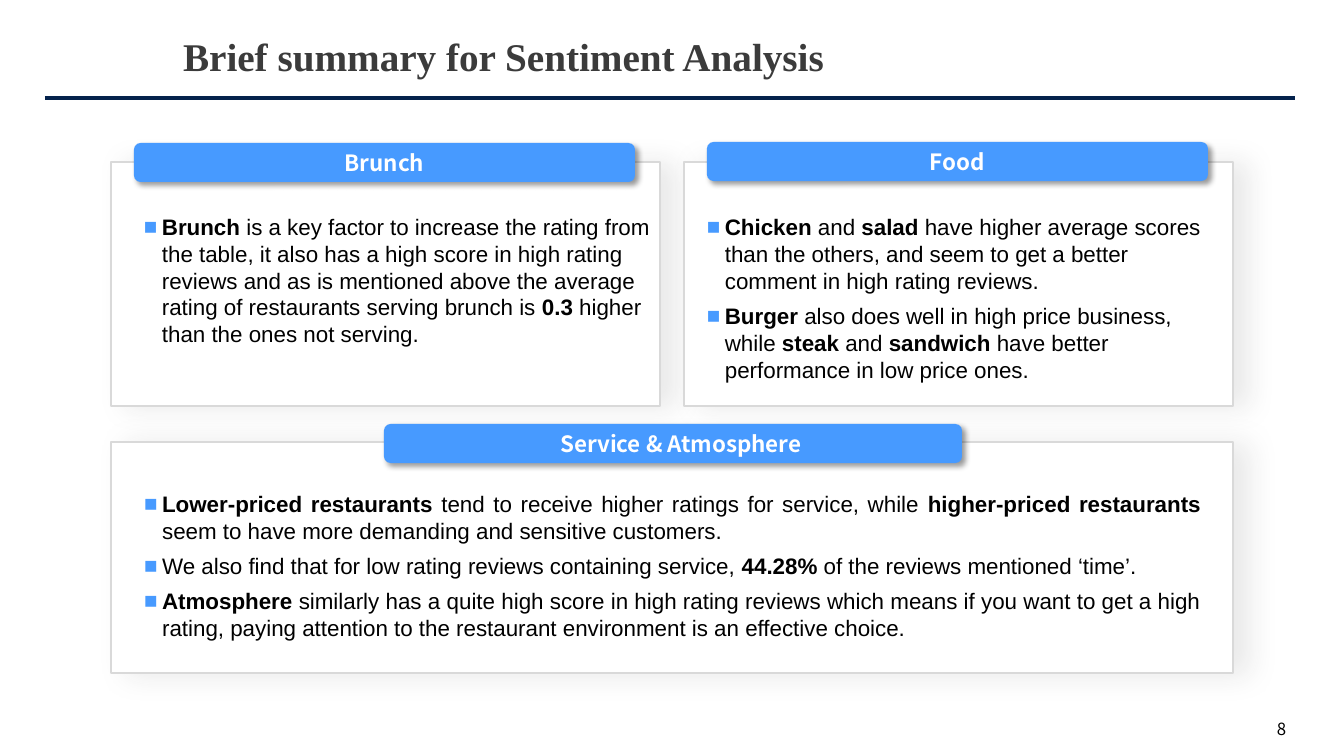
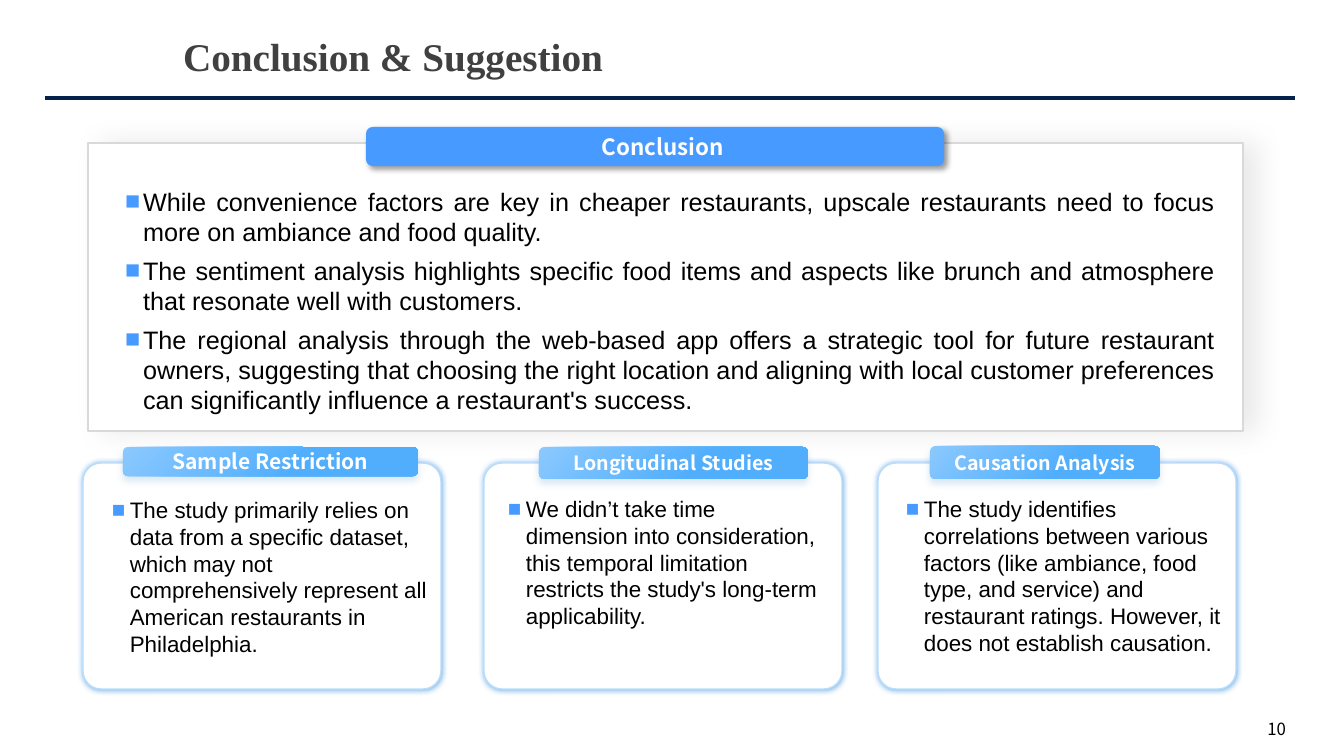
import pptx
import pptx.util
import pptx.dml.color
import pptx.enum.shapes
import pptx.enum.text
import pptx.oxml
import pptx.oxml.ns
from lxml import etree

RGB = pptx.dml.color.RGBColor
SHAPE = pptx.enum.shapes.MSO_SHAPE
ALIGN = pptx.enum.text.PP_ALIGN
ANCHOR = pptx.enum.text.MSO_ANCHOR
Pt = pptx.util.Pt
qn = pptx.oxml.ns.qn

# Colours and fonts
NAVY = RGB(0x04, 0x22, 0x4C)
BLUE = RGB(0x47, 0x9A, 0xFF)
PALE_BLUE = RGB(0x8B, 0xC9, 0xFE)
SKY = RGB(0x51, 0xAE, 0xFD)
CARD_EDGE = RGB(0xBB, 0xDC, 0xFA)
PANEL_EDGE = RGB(0xD9, 0xD9, 0xD9)
CHARCOAL = RGB(0x3B, 0x3B, 0x3B)
GREY = RGB(0x40, 0x40, 0x40)
WHITE = RGB(0xFF, 0xFF, 0xFF)
BLACK = RGB(0x00, 0x00, 0x00)
TITLE_FONT, LABEL_FONT, LIST_FONT = "Times New Roman", "Noto Sans CJK SC", "Arial"

# Shadows: colour, opacity %, blur pt, distance pt, angle
PANEL_SHADOW = ("262626", 10, 20, 10, 0)
TAB_SHADOW = ("000000", 40, 4, 3, 45)
CARD_SHADOW = ("0275D8", 50, 4, 0, 90)
CARD_TAB_SHADOW = ("458AC6", 20, 5, 3, 90)

PIXELS_PER_INCH = 100.8
INDENT = 18
TAB_HEIGHT = 39


def px(pixels):
    return pptx.util.Emu(round(pixels * 914400 / PIXELS_PER_INCH))


def box(left, top, width, height):
    return px(left), px(top), px(width), px(height)


def move(shape, left, top, width, height):
    shape.left, shape.top, shape.width, shape.height = box(left, top, width, height)


def set_font(paragraph, name, size, color, bold=False):
    font = paragraph.font
    font.name, font.size, font.bold = name, Pt(size), bold
    font.color.rgb = color


def add_shadow(shape, color, opacity, blur, distance, angle):
    shape.shadow.inherit = False
    effects = shape.element.spPr.find(qn("a:effectLst"))
    outer = etree.SubElement(
        effects, qn("a:outerShdw"), blurRad=str(Pt(blur)), dist=str(Pt(distance)),
        dir=str(angle * 60000), algn="ctr", rotWithShape="0")
    tint = etree.SubElement(outer, qn("a:srgbClr"), val=color)
    etree.SubElement(tint, qn("a:alpha"), val=str(opacity * 1000))


def add_box(slide, kind, bounds, shadow, edge=None):
    shape = slide.shapes.add_shape(kind, *box(*bounds))
    shape.fill.solid()
    shape.fill.fore_color.rgb = WHITE
    if edge is None:
        shape.line.fill.background()
    else:
        shape.line.color.rgb = edge
        shape.line.width = Pt(1)
    add_shadow(shape, *shadow)
    return shape


def add_panel(slide, *bounds):
    add_box(slide, SHAPE.RECTANGLE, bounds, PANEL_SHADOW, PANEL_EDGE)


def write_label(shape, text, size, shift=0):
    """Centre a white label, moved right by shift pixels."""
    frame = shape.text_frame
    frame.vertical_anchor = ANCHOR.MIDDLE
    frame.margin_left, frame.margin_right = px(10 + 2 * shift), px(10)
    frame.margin_top = frame.margin_bottom = 0
    label = frame.paragraphs[0]
    label.text = text
    label.alignment = ALIGN.CENTER
    set_font(label, LABEL_FONT, size, WHITE, True)


def add_tab(slide, text, left, top, width, shift=0):
    tab = add_box(slide, SHAPE.ROUNDED_RECTANGLE, (left, top, width, TAB_HEIGHT), TAB_SHADOW)
    tab.fill.fore_color.rgb = BLUE
    write_label(tab, text, 16, shift)


def add_card(slide, left, heading, heading_size, heading_bounds):
    card = add_box(slide, SHAPE.ROUNDED_RECTANGLE, (left, 463, 358, 226), CARD_SHADOW, CARD_EDGE)
    card.adjustments[0] = 0.08
    tab = add_box(slide, SHAPE.ROUNDED_RECTANGLE, heading_bounds, CARD_TAB_SHADOW)
    tab.fill.gradient()
    tab.fill.gradient_angle = 315
    for stop, color, position in zip(tab.fill.gradient_stops, (PALE_BLUE, SKY), (0, 0.6)):
        stop.color.rgb = color
        stop.position = position
    write_label(tab, heading, heading_size)


def add_bullet(paragraph):
    properties = paragraph._p.get_or_add_pPr()
    properties.set("marL", str(px(INDENT)))
    properties.set("indent", str(-px(INDENT)))
    color = etree.SubElement(properties, qn("a:buClr"))
    etree.SubElement(color, qn("a:srgbClr"), val=str(BLUE))
    etree.SubElement(properties, qn("a:buFont"), typeface=LIST_FONT)
    etree.SubElement(properties, qn("a:buChar"), char="\u25a0")


def write_list(shape, items, size=16, alignment=ALIGN.LEFT):
    """Fill a shape with bullets; text between ** marks is bold."""
    frame = shape.text_frame
    frame.word_wrap = True
    frame.auto_size = pptx.enum.text.MSO_AUTO_SIZE.NONE
    for index, item in enumerate(items):
        paragraph = frame.add_paragraph() if index else frame.paragraphs[0]
        paragraph.alignment = alignment
        paragraph.space_before, paragraph.space_after = Pt(0), Pt(6)
        add_bullet(paragraph)
        set_font(paragraph, LIST_FONT, size, BLACK)
        for part, words in enumerate(item.split("**")):
            if words:
                run = paragraph.add_run()
                run.text = words
                if part % 2:
                    run.font.bold = True


def add_list(slide, bounds, items):
    write_list(slide.shapes.add_textbox(*box(*bounds)), items)


def fill_body(slide, bounds, items, size):
    """Use the body placeholder for the main list, in front of its panel."""
    body = slide.placeholders[1]
    move(body, *bounds)
    write_list(body, items, size, ALIGN.JUSTIFY)
    slide.shapes.element.append(body.element)


def add_title_rule(slide, layout):
    """Draw the rule under the title and hand it to the shared layout."""
    rule = slide.shapes.add_connector(
        pptx.enum.shapes.MSO_CONNECTOR.STRAIGHT, px(45), px(98), px(1295), px(98))
    rule.line.color.rgb = NAVY
    rule.line.width = Pt(2.25)
    etree.SubElement(rule.element.spPr, qn("a:effectLst"))
    rule.element.nvCxnSpPr.cNvPr.set("id", "20")
    layout.shapes.element.append(rule.element)


def add_slide(deck, layout, title, title_color, number):
    slide = deck.slides.add_slide(layout)
    heading = slide.shapes.title
    heading.text_frame.vertical_anchor = ANCHOR.MIDDLE
    paragraph = heading.text_frame.paragraphs[0]
    paragraph.text = title
    paragraph.alignment = ALIGN.LEFT
    set_font(paragraph, TITLE_FONT, 28, title_color, True)

    page = slide.shapes.add_textbox(*box(983, 714, 313, 33))
    page.text_frame.word_wrap = True
    paragraph = page.text_frame.paragraphs[0]
    paragraph.text = number
    paragraph.alignment = ALIGN.RIGHT
    set_font(paragraph, LABEL_FONT, 12, BLACK)
    return slide


def build_summary(slide):
    # Brunch
    add_panel(slide, 111, 162, 549, 244)
    add_tab(slide, "Brunch", 134, 143, 501)
    add_list(slide, (134, 208, 526, 146), [
        "**Brunch** is a key factor to increase the rating from the table, it also has a high "
        "score in high rating reviews and as is mentioned above the average rating of "
        "restaurants serving brunch is **0.3** higher than the ones not serving."])

    # Food
    add_panel(slide, 684, 162, 549, 244)
    add_tab(slide, "Food", 707, 142, 501)
    add_list(slide, (697, 208, 526, 181), [
        "**Chicken** and **salad** have higher average scores than the others, and seem to get "
        "a better comment in high rating reviews.",
        "**Burger** also does well in high price business, while **steak** and **sandwich** "
        "have better performance in low price ones."])

    # Service and atmosphere
    add_panel(slide, 111, 442, 1122, 231)
    add_tab(slide, "Service & Atmosphere", 384, 424, 578, 8)
    fill_body(slide, (134, 485, 1077, 162), [
        "**Lower-priced restaurants** tend to receive higher ratings for service, while "
        "**higher-priced restaurants** seem to have more demanding and sensitive customers.",
        "We also find that for low rating reviews containing service, **44.28%** of the "
        "reviews mentioned \u2018time\u2019.",
        "**Atmosphere** similarly has a quite high score in high rating reviews which means if "
        "you want to get a high rating, paying attention to the restaurant environment is an "
        "effective choice."], 16)


def build_conclusion(slide):
    # Conclusion
    add_panel(slide, 88, 143, 1155, 288)
    add_tab(slide, "Conclusion", 366, 127, 578, 8)
    fill_body(slide, (115, 181, 1110, 243), [
        "While convenience factors are key in cheaper restaurants, upscale restaurants need to "
        "focus more on ambiance and food quality.",
        "The sentiment analysis highlights specific food items and aspects like brunch and "
        "atmosphere that resonate well with customers.",
        "The regional analysis through the web-based app offers a strategic tool for future "
        "restaurant owners, suggesting that choosing the right location and aligning with local "
        "customer preferences can significantly influence a restaurant's success."], 18)

    # Limitations
    limitations = [
        (83, "Sample Restriction", 15, (123, 447, 295, 29), (102, 491, 339, 173),
         "The study primarily relies on data from a specific dataset, which may not "
         "comprehensively represent all American restaurants in Philadelphia."),
        (484, "Longitudinal Studies", 14, (539, 447, 269, 32), (498, 490, 329, 146),
         "We didn\u2019t take time dimension into consideration, this temporal limitation "
         "restricts the study's long-term applicability."),
        (878, "Causation Analysis", 14, (930, 446, 230, 33), (896, 490, 340, 173),
         "The study identifies correlations between various factors (like ambiance, food type, "
         "and service) and restaurant ratings. However, it does not establish causation."),
    ]
    for left, heading, size, heading_bounds, text_bounds, text in limitations:
        add_card(slide, left, heading, size, heading_bounds)
        add_list(slide, text_bounds, [text])


def main():
    deck = pptx.Presentation()
    deck.slide_width, deck.slide_height = px(1344), px(756)
    layout = deck.slide_layouts[1]
    move(layout.placeholders[0], 173, 24, 1067, 64)

    summary = add_slide(deck, layout, "Brief summary for Sentiment Analysis", CHARCOAL, "8")
    add_title_rule(summary, layout)
    build_summary(summary)
    build_conclusion(add_slide(deck, layout, "Conclusion & Suggestion", GREY, "10"))
    deck.save("out.pptx")


main()
